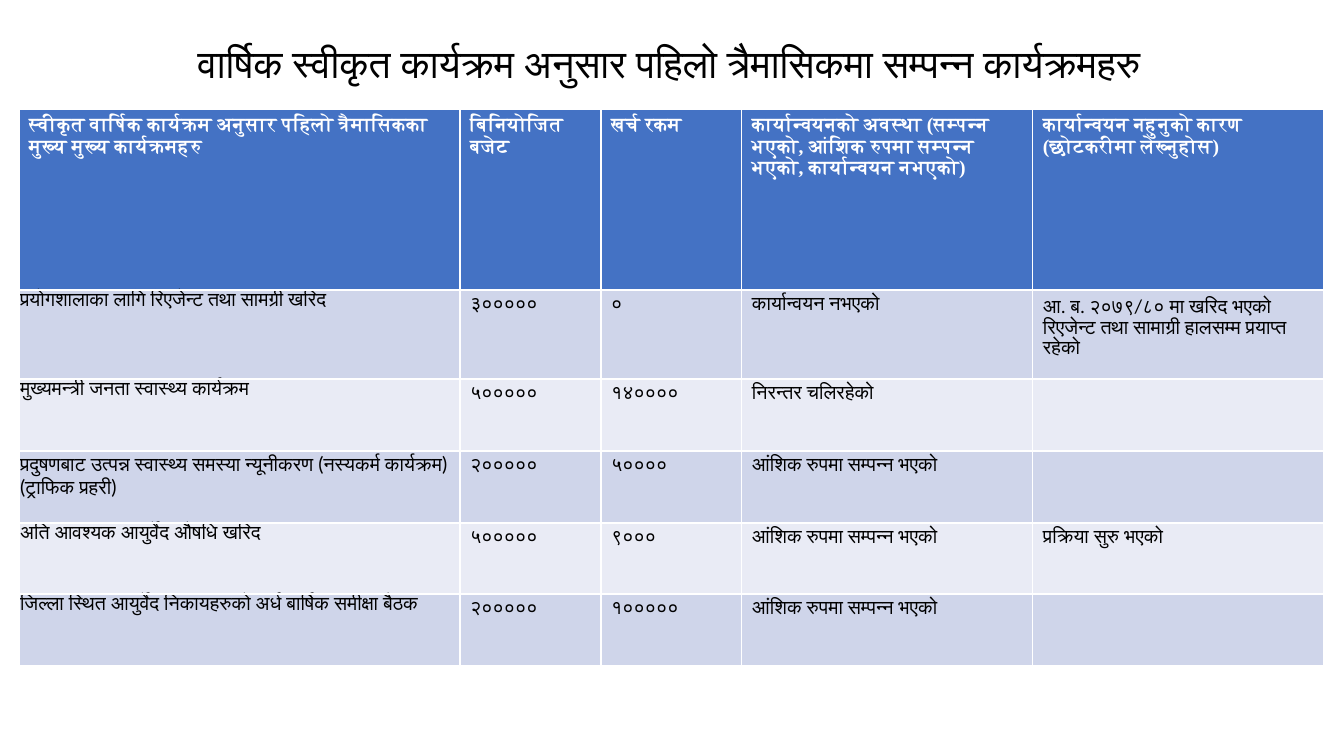
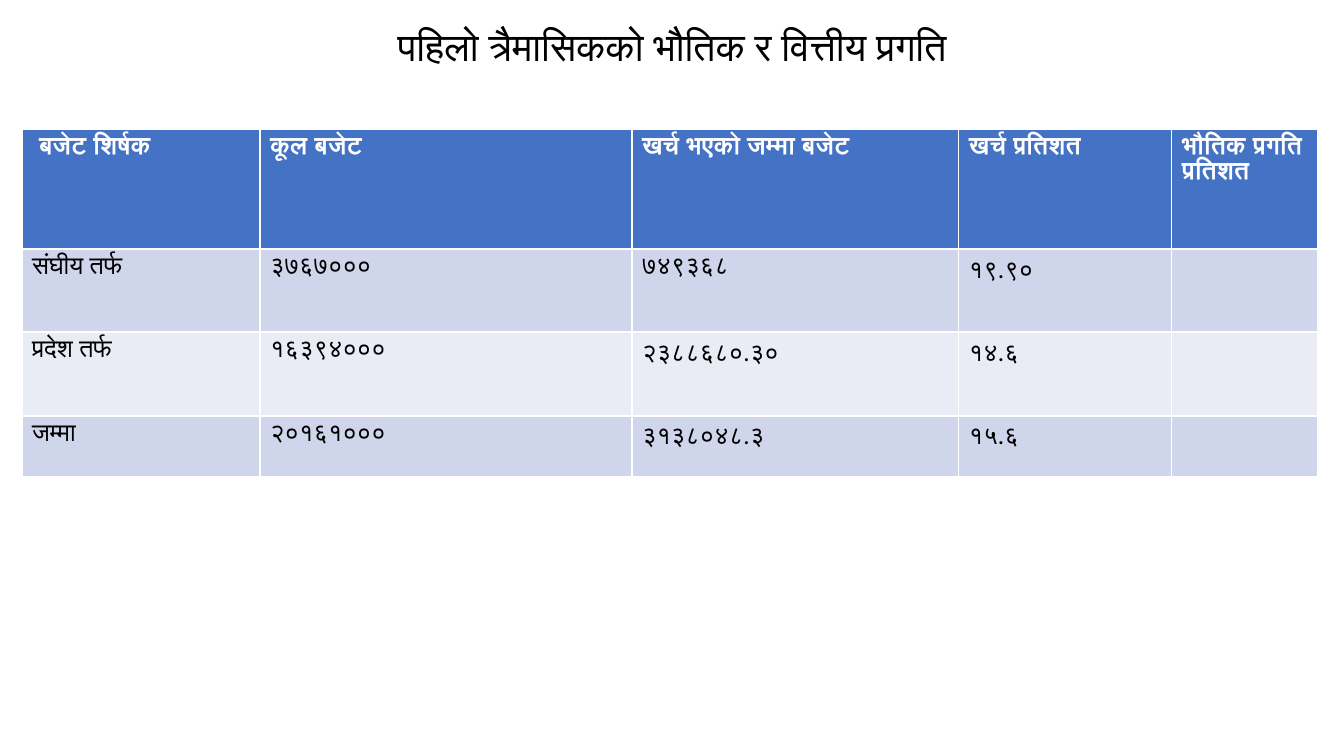
from pptx import Presentation
from pptx.dml.color import RGBColor
from pptx.enum.text import MSO_ANCHOR, PP_ALIGN
from pptx.oxml.ns import qn
from pptx.util import Pt
from lxml import etree

MIDDLE = MSO_ANCHOR.MIDDLE
CENTER = PP_ALIGN.CENTER
EMU_PER_PX = 914400 / 100.8
WHITE, BLACK, HEADER = "FFFFFF", "000000", "4472C4"
BANDS = ["CFD5EA", "E9EBF5"]
CALIBRI, LATO, TIMES = "Calibri", "Lato", "Times New Roman"


def px(value):
    return round(value * EMU_PER_PX)


def add_run(p, text, color, script_font=None, **fmt):
    r = p.add_run()
    r.text = text
    for name, value in fmt.items():
        setattr(r.font, name, value)
    r.font.color.rgb = RGBColor.from_string(color)
    if script_font:
        etree.SubElement(r.font._element, qn("a:cs"), typeface=script_font)


PARTLY_DONE = "आंशिक रुपमा सम्पन्\u200dन भएको"

SLIDES = [
    {
        "title": "वार्षिक स्वीकृत कार्यक्रम अनुसार पहिलो त्रैमासिकमा सम्पन्\u200dन कार्यक्रमहरु",
        "title_box": (123, 17, 1092, 92),
        "spacing": 1.0,
        "origin": (19, 109),
        "cols": [441, 141, 141, 291, 291],
        "rows": [181, 89, 72, 72, 71, 72],
        "size": 14,
        "header_script": TIMES,
        "fonts": [LATO, CALIBRI, CALIBRI, TIMES, CALIBRI],
        "tight_first": True,
        "cells": [
            ["स्वीकृत वार्षिक कार्यक्रम अनुसार पहिलो त्रैमासिकका मुख्य मुख्य कार्यक्रमहरु",
             "बिनियोजित बजेट", "खर्च रकम",
             "कार्यान्वयनको अवस्था (सम्पन्\u200dन भएको, आंशिक रुपमा सम्पन्\u200dन भएको, कार्यान्वयन नभएको)",
             "कार्यान्वयन नहुनुको कारण (छोटकरीमा लेख्\u200dनुहोस)"],
            ["प्रयोगशालाका लागि रिएजेन्ट तथा सामग्री खरिद", "३०००००", "०",
             "कार्यान्वयन नभएको",
             [("आ. ब. २०७९/८० मा खरिद भएको ", CALIBRI),
              ("रिएजेन्ट तथा सामाग्री हालसम्म प्रयाप्त रहेको", LATO)]],
            ["मुख्यमन्त्री जनता स्वास्थ्य कार्यक्रम", "५०००००", "१४००००",
             [("निरन्तर चलिरहेको", CALIBRI)], ""],
            ["प्रदुषणबाट उत्पन्न स्वास्थ्य समस्या न्यूनीकरण (नस्यकर्म कार्यक्रम) (ट्राफिक प्रहरी)",
             "२०००००", "५००००", PARTLY_DONE, ""],
            ["अति आवश्यक आयुर्वेद औषधि खरिद", "५०००००", "९०००",
             PARTLY_DONE, "प्रक्रिया सुरु भएको"],
            ["जिल्ला स्थित आयुर्वेद निकायहरुको अर्ध बार्षिक समीक्षा बैठक",
             "२०००००", "१०००००", PARTLY_DONE, ""],
        ],
    },
    {
        "title": "पहिलो त्रैमासिकको भौतिक र वित्तीय प्रगति",
        "title_box": (126, 17, 1092, 63),
        "spacing": 0.9,
        "origin": (22, 129),
        "cols": [238, 372, 327, 213, 146],
        "rows": [120, 83, 84, 61],
        "size": 18,
        "header_script": None,
        "fonts": [CALIBRI] * 5,
        "tight_first": False,
        "cells": [
            [" बजेट शिर्षक", "कूल बजेट", "खर्च भएको जम्मा बजेट",
             "खर्च प्रतिशत", "भौतिक प्रगति प्रतिशत"],
            ["संघीय तर्फ", "३७६७०००", "७४९३६८", "१९.९०", ""],
            ["प्रदेश तर्फ", "१६३९४०००", "२३८८६८०.३०", "१४.६", ""],
            ["जम्मा", "२०१६१०००", "३१३८०४८.३", "१५.६", ""],
        ],
    },
]

prs = Presentation()
prs.slide_width, prs.slide_height = px(1344), px(756)

for page in SLIDES:
    s = prs.slides.add_slide(prs.slide_layouts[6])
    tf = s.shapes.add_textbox(*map(px, page["title_box"])).text_frame
    tf.word_wrap = True
    tf.vertical_anchor = MIDDLE
    p = tf.paragraphs[0]
    p.alignment = CENTER
    p.line_spacing = page["spacing"]
    add_run(p, page["title"], BLACK, name=CALIBRI, size=Pt(28))

    cols, rows = page["cols"], page["rows"]
    table = s.shapes.add_table(len(rows), len(cols), *map(px, page["origin"]),
                               px(sum(cols)), px(sum(rows))).table
    for column, width in zip(table.columns, cols):
        column.width = px(width)
    for i, (row, height) in enumerate(zip(table.rows, rows)):
        row.height = px(height)
        header = i == 0
        for j, (cell, value) in enumerate(zip(row.cells, page["cells"][i])):
            cell.fill.solid()
            cell.fill.fore_color.rgb = RGBColor.from_string(
                HEADER if header else BANDS[(i - 1) % 2])
            if page["tight_first"] and j == 0 and not header:
                cell.margin_left = cell.margin_right = cell.margin_top = px(1)
                cell.margin_bottom = 0
            font = TIMES if header else page["fonts"][j]
            runs = [(value, font)] if isinstance(value, str) else value
            for text, name in runs:
                if text:
                    add_run(cell.text_frame.paragraphs[0], text,
                            WHITE if header else BLACK,
                            page["header_script"] if header else None,
                            name=name, size=Pt(page["size"]), bold=header)

prs.save("out.pptx")
